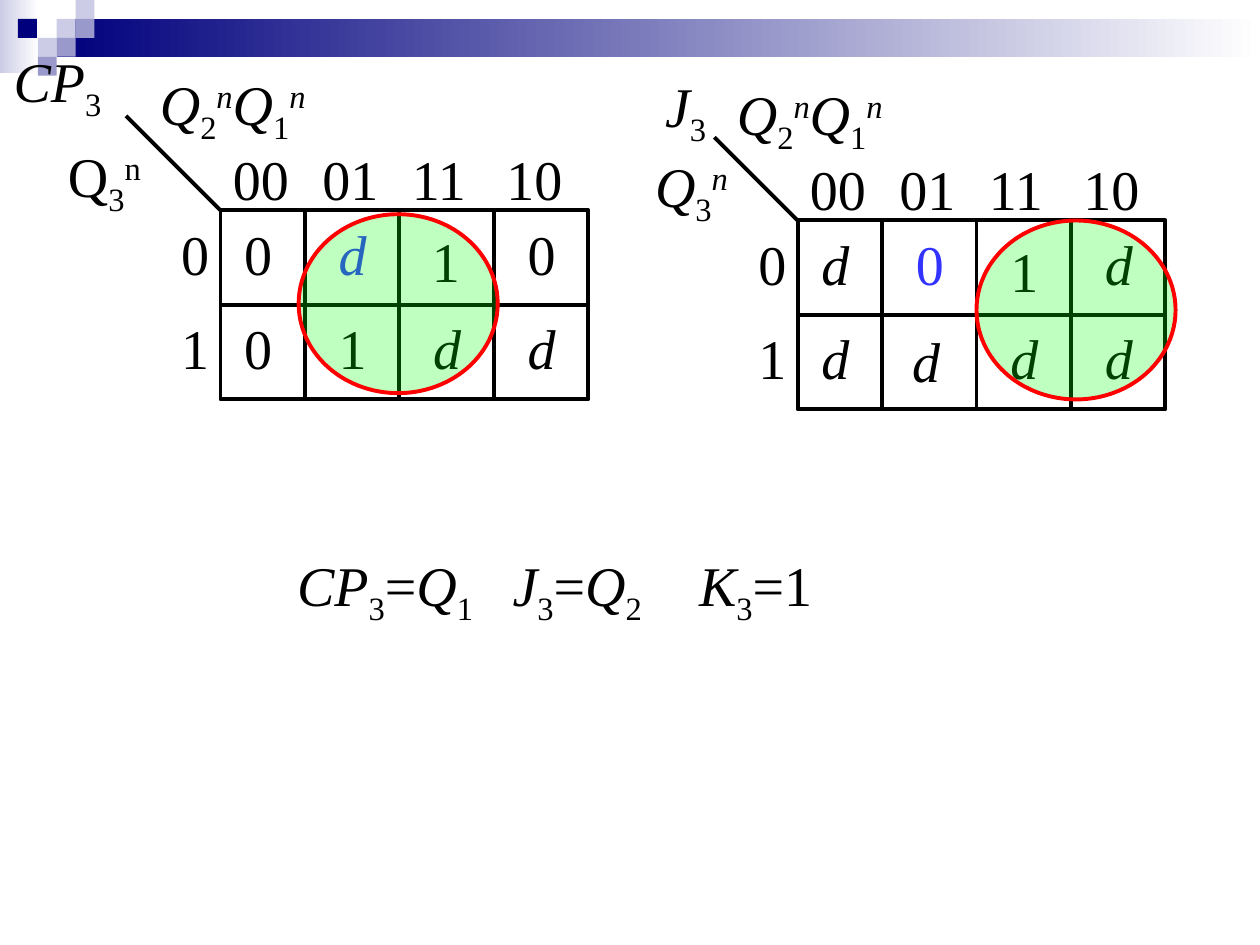
from itertools import groupby

from lxml import etree
from pptx import Presentation
from pptx import util as u
from pptx.dml.color import RGBColor
from pptx.enum import shapes, text
from pptx.oxml import ns

BLACK = RGBColor(0x00, 0x00, 0x00)
WHITE = RGBColor(0xFF, 0xFF, 0xFF)
NAVY = RGBColor(0x00, 0x00, 0x7D)
MID = RGBColor(0x99, 0x99, 0xCC)
PALE = RGBColor(0xCC, 0xCC, 0xE6)
BLUE = RGBColor(0x33, 0x33, 0xFF)
RED = RGBColor(0xFF, 0x00, 0x00)
GREEN = RGBColor(0x00, 0xFF, 0x00)

FONT = "Times New Roman"
TILE = 0.15                           # side of a decor tile
STEP = 0.75                           # pitch of map cells
EDGES = [0, 0.67, 1.42, 2.17, 2.92]   # column edges of a map
HEADS = [("00", 0), ("01", 0.71), ("11", 1.42), ("10", 2.17)]
BASE = {"_": "-25000", "^": "30000"}


def add_sub(parent, tag, **attrs):
    node = etree.SubElement(parent, ns.qn(tag))
    for key, val in attrs.items():
        node.set(key, str(val))
    return node


def split(code, slant):
    """Yield (letter, baseline, italic); _ lowers and ^ raises the next sign."""
    base = None
    for sign in code:
        if sign in BASE:
            base = BASE[sign]
        else:
            yield sign, base, slant and sign.isalpha()
            base = None


def put_text(slide, code, x, y, w=0.44, h=0.64, color=BLACK, slant=True, tabs=()):
    box = slide.shapes.add_textbox(*map(u.Inches, (x, y, w, h)))
    frame = box.text_frame
    frame.word_wrap = True
    frame.auto_size = text.MSO_AUTO_SIZE.SHAPE_TO_FIT_TEXT
    para = frame.paragraphs[0]
    if tabs:
        stops = add_sub(para._p.get_or_add_pPr(), "a:tabLst")
        for pos in tabs:
            add_sub(stops, "a:tab", pos=u.Inches(pos), algn="l")
    for (base, tilt), part in groupby(split(code, slant), lambda s: s[1:]):
        run = para.add_run()
        run.text = "".join(sign for sign, *_ in part)
        font = run.font
        font.name, font.size, font.italic = FONT, u.Pt(32), tilt
        font.color.rgb = color
        if base:
            font._element.set("baseline", base)


def put_shape(slide, kind, x, y, w, h, fill=None, line=None, fade=False, alpha=None):
    shape = slide.shapes.add_shape(kind, *map(u.Inches, (x, y, w, h)))
    shape.shadow.inherit = False
    if fill is None:
        shape.fill.background()
    elif fade:
        shape.fill.gradient()
        shape.fill.gradient_angle = 0
        for stop, color in zip(shape.fill.gradient_stops, (fill, WHITE)):
            stop.color.rgb = color
    else:
        shape.fill.solid()
        shape.fill.fore_color.rgb = fill
        if alpha:
            node = shape._element.spPr.find(".//" + ns.qn("a:srgbClr"))
            add_sub(node, "a:alpha", val=alpha * 1000)
    if line is None:
        shape.line.fill.background()
    else:
        shape.line.color.rgb = line
        shape.line.width = u.Pt(2.25)


def put_line(slide, *ends):
    line = slide.shapes.add_connector(shapes.MSO_CONNECTOR.STRAIGHT, *map(u.Inches, ends))
    line.line.color.rgb = BLACK
    line.line.width = u.Pt(2.25)
    add_sub(line._element.spPr, "a:effectLst")


def put_decor(slide):
    rect = shapes.MSO_SHAPE.RECTANGLE
    put_shape(slide, rect, 0, 0, 0.31, 0.58, fill=PALE, fade=True)
    put_shape(slide, rect, 3 * TILE, TILE, 9.55, 2 * TILE, fill=NAVY, fade=True)
    tiles = [(3, 1, PALE), (4, 0, PALE), (4, 1, MID), (2, 2, PALE),
             (0.95, 1, NAVY), (3, 2, MID), (2, 3, MID)]
    for col, row, color in tiles:
        put_shape(slide, rect, col * TILE, row * TILE, TILE, TILE, fill=color)


def put_map(slide, x, y, cells, slash, loop, nudge):
    """Draw a Karnaugh map whose grid has its top left corner at x, y."""
    wide, high = EDGES[-1], 2 * STEP
    put_shape(slide, shapes.MSO_SHAPE.RECTANGLE, x, y, wide, high, line=BLACK)
    put_line(slide, x, y + STEP, x + wide, y + STEP)
    for edge in EDGES[1:-1]:
        put_line(slide, x + edge, y, x + edge, y + high)
    put_line(slide, x, y, x - slash, y - slash)

    # Column and row codes, then cell values
    for code, left in HEADS:
        put_text(slide, code, x + left, y - 0.57, w=0.68)
    for row, line in enumerate(cells):
        top = y + 0.02 + row * STEP
        put_text(slide, str(row), x - 0.41, top)
        for col, code in enumerate(line):
            dx, dy = nudge.get((row, col), (0, 0))
            color = BLUE if (row, col) == (0, 1) else BLACK
            put_text(slide, code, x + 0.09 + col * STEP + dx, top + dy, color=color)

    # Loop round the grouped cells
    put_shape(slide, shapes.MSO_SHAPE.OVAL, x + loop[0], y + loop[1], 1.58, 1.42,
              fill=GREEN, line=RED, alpha=25)


def main():
    deck = Presentation()
    deck.slide_width, deck.slide_height = u.Inches(10), u.Inches(7.5)
    slide = deck.slides.add_slide(deck.slide_layouts[6])
    put_decor(slide)

    # Map for CP3
    put_map(slide, 1.75, 1.67, ["0d10", "01dd"], 0.75, (0.62, 0.03),
            {(0, 2): (-0.01, 0.06)})
    put_text(slide, "Q_2^nQ_1^n", 1.17, 0.5, w=1.83, h=0.71)
    put_text(slide, "Q_3^n", 0.44, 1.07, w=0.82, h=0.71, slant=False)
    put_text(slide, "CP_3", 0.01, 0.32, w=0.94, h=0.71)

    # Map for J3
    put_map(slide, 6.33, 1.75, ["d01d", "dddd"], 0.66, (1.42, 0),
            {(0, 2): (0, 0.06), (1, 1): (-0.03, 0.02)})
    put_text(slide, "Q_2^nQ_1^n", 5.75, 0.58, w=1.83, h=0.71)
    put_text(slide, "Q_3^n", 5.1, 1.15, w=0.82, h=0.71)
    put_text(slide, "J_3", 5.18, 0.52, w=0.57, h=0.71)

    # Resulting equations
    put_text(slide, "CP_3=Q_1\tJ_3=Q_2\tK_3=1", 2.26, 4.32, w=4.4, h=0.71,
             tabs=(1.71, 3.19))
    deck.save("out.pptx")


if __name__ == "__main__":
    main()
